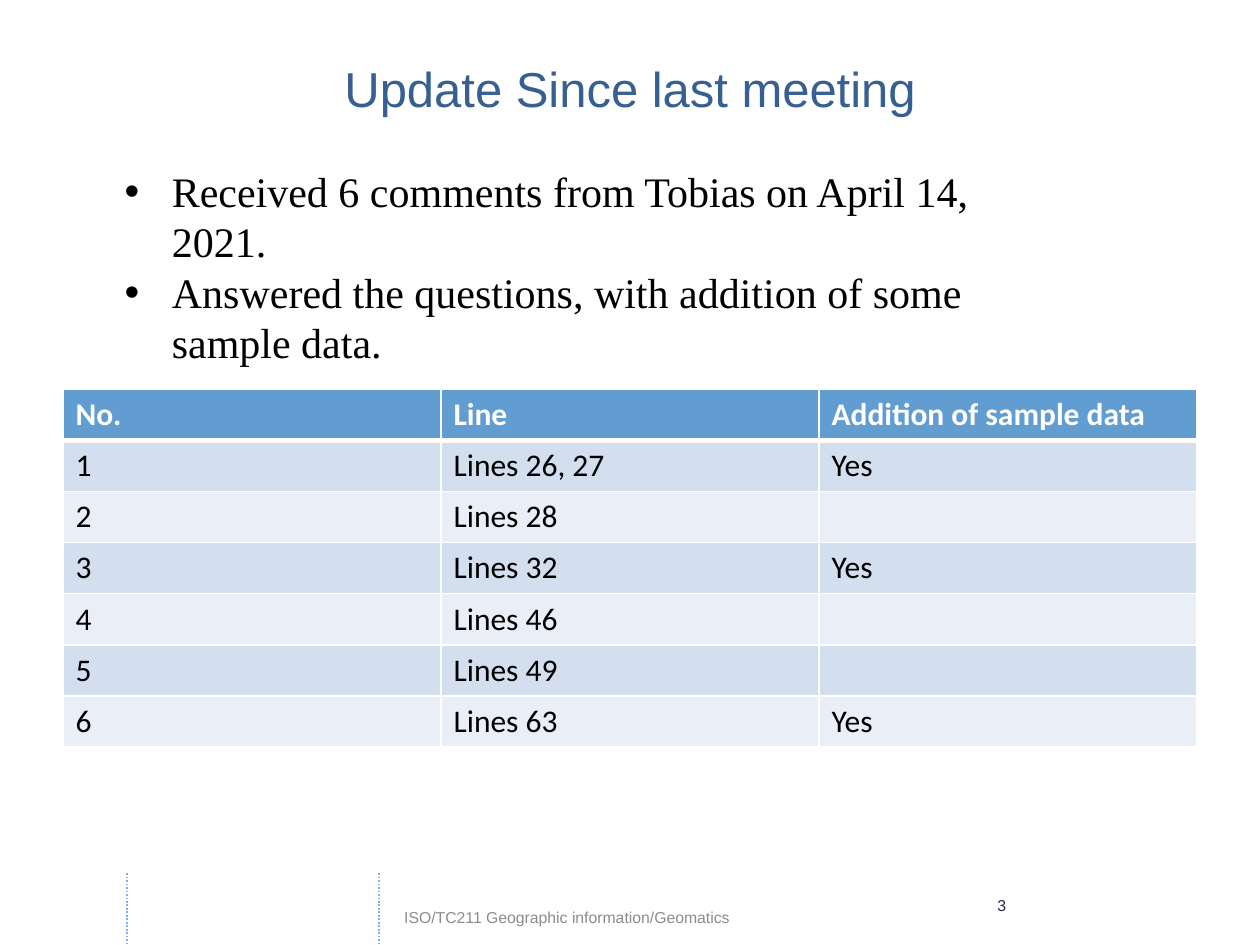
from dataclasses import dataclass

from lxml import etree
from pptx import Presentation
from pptx.dml.color import RGBColor
from pptx.enum import dml, shapes, text
from pptx.oxml import ns
from pptx.util import Pt


@dataclass(frozen=True)
class Theme:
    title: str = "376092"
    ink: str = "000000"
    white: str = "FFFFFF"
    header: str = "629DD1"
    bands: tuple = ("D3DFEE", "EAEFF7")
    rule: str = "7EB2E6"
    footer: str = "8C8C8C"
    number: str = "242852"
    heading_face: str = "Arial"
    body_face: str = "Times New Roman"
    table_face: str = "Calibri"
    title_size: float = 28
    body_size: float = 24
    table_size: float = 18
    small_size: float = 9


@dataclass(frozen=True)
class Box:
    x: float
    y: float
    w: float
    h: float

    def lengths(self) -> tuple:
        return Pt(self.x), Pt(self.y), Pt(self.w), Pt(self.h)


@dataclass(frozen=True)
class Label:
    words: str
    box: Box
    color: str
    anchor: text.MSO_ANCHOR


THEME = Theme()
BULLETS = (
    "Received 6 comments from Tobias on April 14, 2021.",
    "Answered the questions, with addition of some sample data.",
)
ROWS = (
    ("No.", "Line", "Addition of sample data"),
    ("1", "Lines 26, 27", "Yes"),
    ("2", "Lines 28", ""),
    ("3", "Lines 32", "Yes"),
    ("4", "Lines 46", ""),
    ("5", "Lines 49", ""),
    ("6", "Lines 63", "Yes"),
)
TABLE_BOX = Box(36, 222.5, 648, 204.4)
LABELS = (
    Label("ISO/TC211 Geographic information/Geomatics",
          Box(231, 518.5, 283, 11), THEME.footer, text.MSO_ANCHOR.MIDDLE),
    Label("3", Box(570, 512, 16, 11), THEME.number, text.MSO_ANCHOR.TOP),
)
RULE_XS = (72.5, 216.5)
RULE_TOP, RULE_BOTTOM = 499, 540


def set_font(p, face: str, size: float, color: str, bold: bool = False) -> None:
    p.font.name = face
    p.font.size = Pt(size)
    p.font.bold = bold
    p.font.color.rgb = RGBColor.from_string(color)


def place(sp, box: Box) -> None:
    sp.left, sp.top, sp.width, sp.height = box.lengths()


def fill_title(sp) -> None:
    place(sp, Box(36, 20, 648, 60))
    tf = sp.text_frame
    tf.text = "Update Since last meeting"
    tf.auto_size = text.MSO_AUTO_SIZE.NONE
    tf.vertical_anchor = text.MSO_ANCHOR.MIDDLE
    p = tf.paragraphs[0]
    p.alignment = text.PP_ALIGN.CENTER
    set_font(p, THEME.heading_face, THEME.title_size, THEME.title)


def fill_body(sp) -> None:
    place(sp, Box(64, 91, 551.5, 124))
    tf = sp.text_frame
    tf.text = "\n".join(BULLETS)
    tf.auto_size = text.MSO_AUTO_SIZE.NONE
    tf.vertical_anchor = text.MSO_ANCHOR.TOP
    for p in tf.paragraphs:
        p.space_before = Pt(0)
        p.line_spacing = Pt(28.8)
        props = p._p.get_or_add_pPr()
        props.set("marL", str(Pt(27)))
        props.set("indent", str(Pt(-27)))
        etree.SubElement(props, ns.qn("a:buFont"), typeface="Arial")
        etree.SubElement(props, ns.qn("a:buChar"), char="•")
        set_font(p, THEME.body_face, THEME.body_size, THEME.ink)


def add_label(slide, label: Label) -> None:
    tf = slide.shapes.add_textbox(*label.box.lengths()).text_frame
    tf.margin_left = tf.margin_top = tf.margin_right = tf.margin_bottom = 0
    tf.word_wrap = True
    tf.vertical_anchor = label.anchor
    tf.text = label.words
    set_font(tf.paragraphs[0], THEME.heading_face, THEME.small_size, label.color)


def add_rule(slide, x: float) -> None:
    line = slide.shapes.add_connector(
        shapes.MSO_CONNECTOR.STRAIGHT, Pt(x), Pt(RULE_TOP), Pt(x), Pt(RULE_BOTTOM))
    line.line.color.rgb = RGBColor.from_string(THEME.rule)
    line.line.width = Pt(1)
    line.line.dash_style = dml.MSO_LINE.ROUND_DOT
    etree.SubElement(line._element.spPr, ns.qn("a:effectLst"))


def add_borders(cell, widths: dict) -> None:
    props = cell._tc.get_or_add_tcPr()
    for index, (side, width) in enumerate(widths.items()):
        border = etree.Element(ns.qn(f"a:{side}"), w=str(Pt(width)))
        solid = etree.SubElement(border, ns.qn("a:solidFill"))
        etree.SubElement(solid, ns.qn("a:srgbClr"), val=THEME.white)
        props.insert(index, border)


def add_comment_table(slide) -> None:
    table = slide.shapes.add_table(len(ROWS), len(ROWS[0]), *TABLE_BOX.lengths()).table
    for row, values in enumerate(ROWS):
        is_header = row == 0
        fill = THEME.header if is_header else THEME.bands[(row - 1) % 2]
        color = THEME.white if is_header else THEME.ink
        widths = {"lnL": 1, "lnR": 1, "lnT": 3 if row == 1 else 1, "lnB": 3 if is_header else 1}
        for column, value in enumerate(values):
            cell = table.cell(row, column)
            cell.text = value
            cell.fill.solid()
            cell.fill.fore_color.rgb = RGBColor.from_string(fill)
            set_font(cell.text_frame.paragraphs[0], THEME.table_face,
                     THEME.table_size, color, is_header)
            add_borders(cell, widths)


def main() -> None:
    prs = Presentation()
    prs.slide_width, prs.slide_height = Pt(720), Pt(540)
    slide = prs.slides.add_slide(prs.slide_layouts[1])
    fill_title(slide.shapes.title)
    fill_body(slide.placeholders[1])
    for label in LABELS:
        add_label(slide, label)
    for x in RULE_XS:
        add_rule(slide, x)
    add_comment_table(slide)
    prs.save("out.pptx")


if __name__ == "__main__":
    main()
